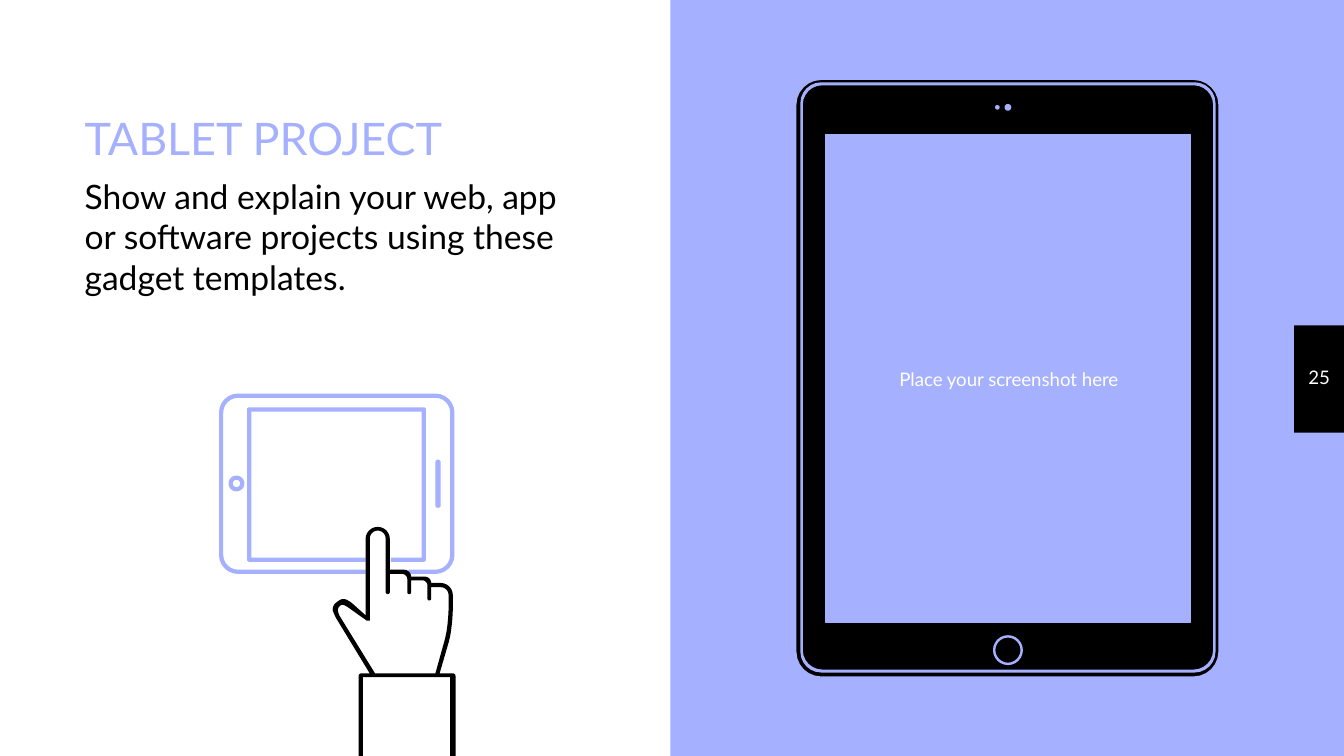
"""Build the tablet project slide with its device mock-up and touch icon."""
from math import dist

from pptx import Presentation
from pptx.dml.color import RGBColor
from pptx.enum.shapes import MSO_SHAPE as Preset
from pptx.enum.text import MSO_ANCHOR as Anchor, PP_ALIGN as Align
from pptx.util import Cm, Pt

LILAC = RGBColor(0xA5, 0xB0, 0xFE)
BLACK = RGBColor(0, 0, 0)
WHITE = RGBColor(255, 255, 255)
FONT = "Lato"
INSET = Cm(0.25)
CURVE_STEPS = 6

PANELS = [
    ((24.46, 6.15, 0.94, 2.03), BLACK),
    ((0, 0, 12.67, 14.29), WHITE),
]
LABELS = [
    ((15.6, 2.54, 6.93, 9.27), [("Place your screenshot here", 10, WHITE)], True),
    ((24.46, 6.12, 0.94, 2.03), [("25", 10, WHITE)], True),
    ((1.35, 1.85, 10.03, 10.39), [
        ("TABLET PROJECT", 24, LILAC),
        ("Show and explain your web, app or software projects "
         "using these gadget templates.", 18, BLACK),
    ], False),
]

TABLET_DISCS = [(18.85, 2.03, 0.03), (19.05, 2.03, 0.05),
                (19.05, 12.29, 0.25), (19.05, 12.29, 0.27)]
TABLET_FRAMES = [(15.6, 2.54, 22.5, 11.76, 0), (15.16, 1.6, 22.94, 12.67, 0.38),
                 (15.14, 1.57, 22.96, 12.7, 0.38), (15.04, 1.5, 23.04, 12.8, 0.48)]

PHONE_BAND = 0.08
PHONE_SCREEN = (4.67, 7.7, 8.05, 10.62, 0.04, 6.91, 7.39)
PHONE_BODY = (4.14, 7.44, 8.59, 10.85, 0.36, 6.91, 7.72)
PHONE_BUTTON = [(4.47, 9.14, 0.15), (4.47, 9.14, 0.07)]
PHONE_SPEAKER = (8.23, 8.69, 8.33, 9.6, 0.05)

HAND_OUTSIDE = [
    (6.78, 14.35), (6.78, 12.73, 0.05), (6.99, 12.73), (6.32, 11.63, 0.1),
    (6.27, 11.48, 0.08), (6.38, 11.36, 0.08), (6.5, 11.31, 0.06),
    (6.63, 11.38, 0.05), (6.91, 11.63), (6.91, 9.96, 0.23), (7.37, 9.96, 0.23),
    (7.37, 10.77), (7.77, 10.77, 0.13), (7.77, 10.9), (8.15, 10.9, 0.12),
    (8.15, 11.02), (8.56, 11.02, 0.23), (8.56, 11.66, 0.2), (8.51, 12.04, 0.1),
    (8.31, 12.73), (8.61, 12.73, 0.05), (8.61, 14.35), (8.51, 14.35),
    (8.51, 12.8), (6.86, 12.8), (6.86, 14.35),
]
HAND_INSIDE = [
    (7.09, 12.73), (6.4, 11.61, 0.05), (6.38, 11.5, 0.05), (6.46, 11.42, 0.05),
    (6.55, 11.46, 0.04), (6.93, 11.73), (6.99, 11.73), (6.99, 10.03, 0.15),
    (7.29, 10.03, 0.15), (7.29, 11.23, 0.04), (7.37, 11.23, 0.04), (7.37, 10.85),
    (7.7, 10.85, 0.1), (7.7, 11.23, 0.03), (7.77, 11.23, 0.03), (7.77, 10.97),
    (8.08, 10.97, 0.1), (8.08, 11.35, 0.03), (8.15, 11.35, 0.03), (8.15, 11.1),
    (8.48, 11.1, 0.15), (8.48, 11.66, 0.2), (8.43, 12.01, 0.1), (8.23, 12.73),
]


def toward(start, end, share):
    return tuple(a + (b - a) * share for a, b in zip(start, end))


def rounded(corners):
    outline = []
    for i, (x, y, *radius) in enumerate(corners):
        corner = (x, y)
        if not radius or not radius[0]:
            outline.append(corner)
            continue
        before, after = corners[i - 1][:2], corners[(i + 1) % len(corners)][:2]
        start = toward(corner, before, radius[0] / dist(corner, before))
        end = toward(corner, after, radius[0] / dist(corner, after))
        pull = toward(start, corner, 0.55), toward(end, corner, 0.55)
        for step in range(CURVE_STEPS + 1):
            t = step / CURVE_STEPS
            weights = ((1 - t) ** 3, 3 * t * (1 - t) ** 2, 3 * t * t * (1 - t), t ** 3)
            points = (start, pull[0], pull[1], end)
            outline.append(tuple(sum(w * p[axis] for w, p in zip(weights, points))
                                 for axis in (0, 1)))
    return outline


def frame(left, top, right, bottom, radius):
    return rounded([(left, top, radius), (right, top, radius),
                    (right, bottom, radius), (left, bottom, radius)])


def disc(x, y, radius):
    return frame(x - radius, y - radius, x + radius, y + radius, radius)


def open_frame(left, top, right, bottom, radius, gap_left, gap_right):
    def side(inset):
        curve = max(0, radius - inset)
        low = bottom - inset
        return [(gap_left, low), (left + inset, low, curve),
                (left + inset, top + inset, curve), (right - inset, top + inset, curve),
                (right - inset, low, curve), (gap_right, low)]
    return rounded(side(0) + side(PHONE_BAND)[::-1])


def paint(shape, color):
    shape.shadow.inherit = False
    shape.fill.solid()
    shape.fill.fore_color.rgb = color
    shape.line.fill.background()
    return shape


def draw(shapes, outlines, color):
    builder = None
    for outline in outlines:
        first, *rest = [(Cm(x), Cm(y)) for x, y in outline]
        if builder is None:
            builder = shapes.build_freeform(*first)
        else:
            builder.move_to(*first)
        builder.add_line_segments(rest, close=True)
    return paint(builder.convert_to_shape(), color)


def write(shapes, place, lines, centred):
    frame_text = shapes.add_textbox(*map(Cm, place)).text_frame
    frame_text.word_wrap = True
    frame_text.margin_left = frame_text.margin_right = INSET
    frame_text.margin_top = frame_text.margin_bottom = INSET
    frame_text.vertical_anchor = Anchor.MIDDLE if centred else Anchor.TOP
    frame_text.text = "\n".join(words for words, _, _ in lines)
    for paragraph, (_, size, color) in zip(frame_text.paragraphs, lines):
        paragraph.alignment = Align.CENTER if centred else Align.LEFT
        paragraph.space_before = Pt(0 if centred else 6)
        font = paragraph.runs[0].font
        font.name, font.size, font.color.rgb = FONT, Pt(size), color


def main():
    deck = Presentation()
    deck.slide_width, deck.slide_height = Cm(25.4), Cm(14.29)
    slide = deck.slides.add_slide(deck.slide_layouts[6])
    slide.background.fill.solid()
    slide.background.fill.fore_color.rgb = LILAC
    shapes = slide.shapes

    for place, color in PANELS:
        paint(shapes.add_shape(Preset.RECTANGLE, *map(Cm, place)), color)

    tablet = draw(shapes, [disc(*d) for d in TABLET_DISCS]
                  + [frame(*f) for f in TABLET_FRAMES], BLACK)
    tablet.line.color.rgb = LILAC
    tablet.line.width = Pt(0.75)

    for place, lines, centred in LABELS:
        write(shapes, place, lines, centred)

    icon = shapes.add_group_shape().shapes
    for outlines, color in [
        ([open_frame(*PHONE_SCREEN)], LILAC),
        ([disc(*d) for d in PHONE_BUTTON], LILAC),
        ([frame(*PHONE_SPEAKER)], LILAC),
        ([open_frame(*PHONE_BODY)], LILAC),
        ([rounded(HAND_OUTSIDE), rounded(HAND_INSIDE)], BLACK),
    ]:
        draw(icon, outlines, color)

    deck.save("out.pptx")


if __name__ == "__main__":
    main()
